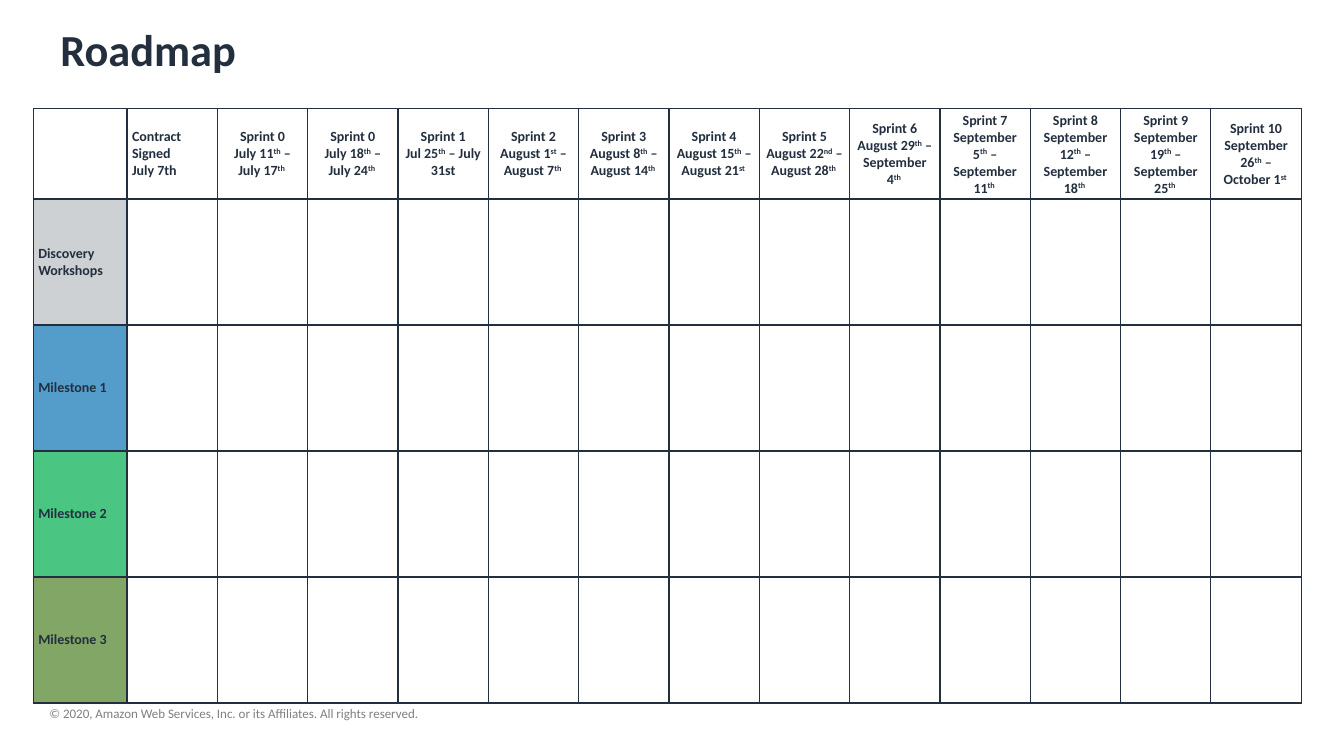
import pptx
import pptx.dml.color
import pptx.enum.text
import pptx.oxml
import pptx.oxml.ns
import pptx.util

GRID = pptx.util.Inches(0.1)
COLUMNS, ROWS = 133.33, 75
NAVY = "232F3E"
FONT = {"name": "Calibri", "size": pptx.util.Pt(10), "bold": True}
TITLE_FONT = FONT | {"size": pptx.util.Pt(31.7)}
FOOTER_FONT = FONT | {"size": pptx.util.Pt(9.3), "bold": False}
TOP = pptx.enum.text.MSO_ANCHOR.TOP
MIDDLE = pptx.enum.text.MSO_ANCHOR.MIDDLE
BOTTOM = pptx.enum.text.MSO_ANCHOR.BOTTOM
LEFT = pptx.enum.text.PP_ALIGN.LEFT
CENTER = pptx.enum.text.PP_ALIGN.CENTER
STUB_WIDTH, HEADER_HEIGHT = 9.3, 8.9

SPRINTS = [
    ("Sprint 0", "July 11^th^ – July 17^th "),
    ("Sprint 0", "July 18^th^ – July 24^th "),
    ("Sprint 1", "Jul 25^th^ – July 31st"),
    ("Sprint 2", "August 1^st^ – August 7^th "),
    ("Sprint 3", "August 8^th^ – August 14^th "),
    ("Sprint 4", "August 15^th^ – August 21^st "),
    ("Sprint 5", "August 22^nd^ – August 28^th "),
    ("Sprint 6", "August 29^th^ – September 4^th "),
    ("Sprint 7", "September 5^th^ – September 11^th "),
    ("Sprint 8", "September 12^th^ – September 18^th "),
    ("Sprint 9", "September 19^th^ – September 25^th "),
    ("Sprint 10", "September 26^th^ – October 1^st "),
]
PHASES = [
    ("Discovery Workshops", NAVY, 22),
    ("Milestone 1", "549DCB", 100),
    ("Milestone 2", "00B050", 71),
    ("Milestone 3", "4F8328", 71),
]


def color(value):
    return pptx.dml.color.RGBColor.from_string(value)


def units(*lengths):
    return [round(length * GRID) for length in lengths]


def apply(target, values):
    for name, value in values.items():
        setattr(target, name, value)


def write(frame, lines, font, tint, align=LEFT):
    for index, line in enumerate(lines):
        para = frame.add_paragraph() if index else frame.paragraphs[0]
        para.alignment = align
        for position, piece in enumerate(line.split("^")):
            span = para.add_run()
            span.text = piece
            apply(span.font, font)
            span.font.color.rgb = color(tint)
            if position % 2:
                span.font._element.set("baseline", "30000")


def place_title(page, box):
    title = page.shapes.title
    apply(title, dict(zip(("left", "top", "width", "height"), units(*box))))
    apply(title.text_frame, {"vertical_anchor": TOP, "word_wrap": True})
    write(title.text_frame, ["Roadmap"], TITLE_FONT, NAVY)


def place_footer(page, box):
    frame = page.shapes.add_textbox(*units(*box)).text_frame
    apply(frame, {"word_wrap": True, "margin_left": 0, "margin_top": 0,
                  "margin_right": 0, "margin_bottom": 0})
    write(frame, ["© 2020, Amazon Web Services, Inc. or its Affiliates. All rights reserved."],
          FOOTER_FONT, "808080")


def draw_borders(cell):
    properties = cell._tc.get_or_add_tcPr()
    for index, side in enumerate(("lnL", "lnR", "lnT", "lnB")):
        properties.insert(index, pptx.oxml.parse_xml(
            f'<a:{side} {pptx.oxml.ns.nsdecls("a")} w="12700"><a:solidFill>'
            f'<a:srgbClr val="{NAVY}"/></a:solidFill></a:{side}>'))


def fill_cell(cell, tint, opacity):
    cell.fill.solid()
    cell.fill.fore_color.rgb = color(tint)
    if opacity < 100:
        swatch = cell._tc.tcPr.find(".//" + pptx.oxml.ns.qn("a:srgbClr"))
        swatch.append(pptx.oxml.parse_xml(
            f'<a:alpha {pptx.oxml.ns.nsdecls("a")} val="{opacity * 1000}"/>'))


def label_cell(cell, lines, align=LEFT):
    small, wide = units(0.3, 0.5)
    apply(cell, {"vertical_anchor": MIDDLE, "margin_left": wide, "margin_right": wide,
                 "margin_top": small, "margin_bottom": small})
    write(cell.text_frame, lines, FONT, NAVY, align)


def place_roadmap(page, box):
    width, height = box[2:]
    table = page.shapes.add_table(len(PHASES) + 1, len(SPRINTS) + 2, *units(*box)).table
    apply(table, {"first_row": False, "horz_banding": False})
    stub, sprint = units(STUB_WIDTH, (width - STUB_WIDTH) / (len(SPRINTS) + 1))
    header, phase = units(HEADER_HEIGHT, (height - HEADER_HEIGHT) / len(PHASES))
    for index, column in enumerate(table.columns):
        column.width = sprint if index else stub
    for index, row in enumerate(table.rows):
        row.height = phase if index else header
    for cell in table.iter_cells():
        cell.fill.background()
    label_cell(table.cell(0, 1), ["Contract Signed", "July 7th"])
    for index, lines in enumerate(SPRINTS, 2):
        label_cell(table.cell(0, index), lines, CENTER)
    table.cell(0, len(SPRINTS)).vertical_anchor = BOTTOM
    for index, (name, tint, opacity) in enumerate(PHASES, 1):
        label_cell(table.cell(index, 0), [name])
        fill_cell(table.cell(index, 0), tint, opacity)
    for cell in table.iter_cells():
        draw_borders(cell)


def main():
    deck = pptx.Presentation()
    deck.slide_width, deck.slide_height = units(COLUMNS, ROWS)
    page = deck.slides.add_slide(deck.slide_layouts[5])
    place_footer(page, (4.9, 70, 64.8, 1.6))
    place_title(page, (5, 1.7, 123.1, 8))
    place_roadmap(page, (3.3, 10.8, 125.8, 58.9))
    deck.save("out.pptx")


if __name__ == "__main__":
    main()
